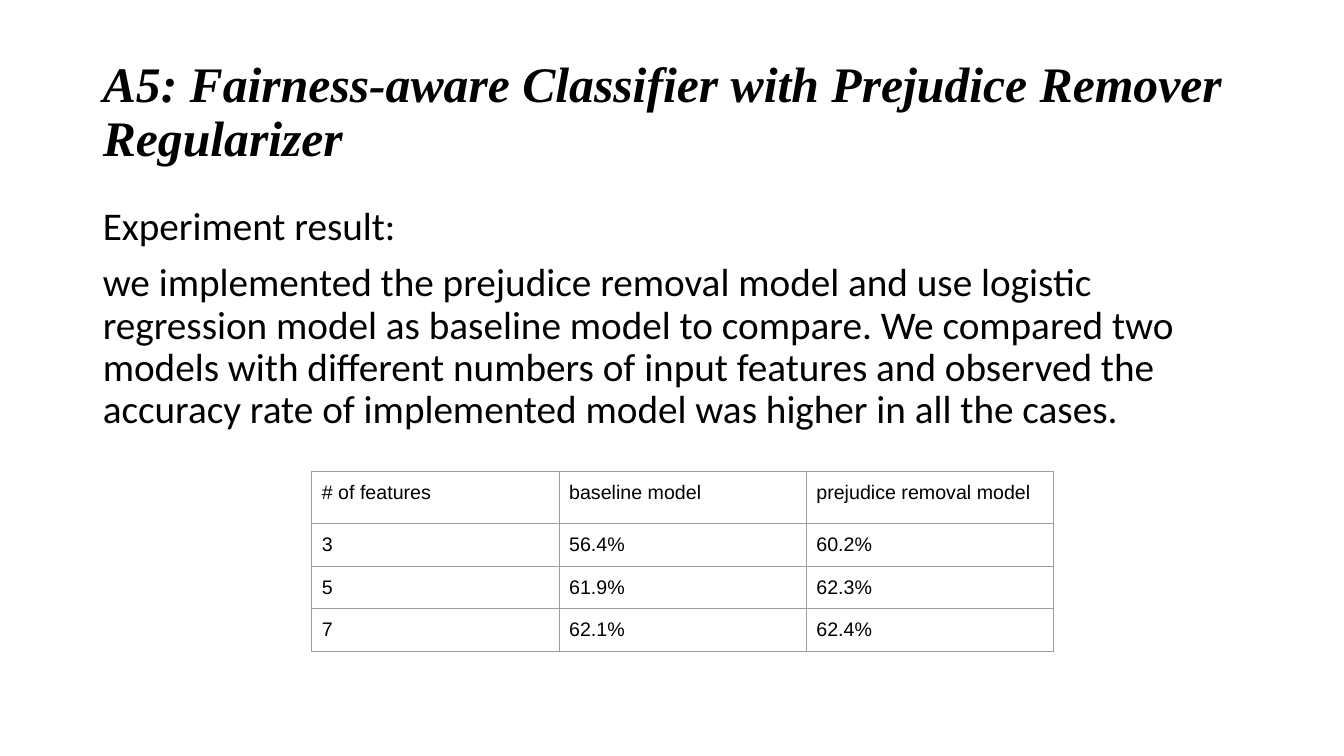
import dataclasses

import pptx
import pptx.dml.color
import pptx.enum.text
import pptx.oxml.ns
import pptx.util
from lxml import etree

BLACK = pptx.dml.color.RGBColor(0x00, 0x00, 0x00)
GRAY = pptx.dml.color.RGBColor(0x9E, 0x9E, 0x9E)
SLIDE_W = pptx.util.Inches(13.33)
SLIDE_H = pptx.util.Inches(7.5)
BORDER = pptx.util.Pt(0.75)

TITLE = "A5: Fairness-aware Classifier with Prejudice Remover Regularizer"
BODY = [
    "Experiment result:",
    "we implemented the prejudice removal model and use logistic regression model "
    "as baseline model to compare. We compared two models with different numbers of "
    "input features and observed the accuracy rate of implemented model was higher "
    "in all the cases.",
]


@dataclasses.dataclass(frozen=True)
class Box:
    left: float
    top: float
    width: float
    height: float

    def emu(self) -> tuple[int, int, int, int]:
        return (share(self.left, SLIDE_W), share(self.top, SLIDE_H),
                share(self.width, SLIDE_W), share(self.height, SLIDE_H))


@dataclasses.dataclass(frozen=True)
class Style:
    font: str
    size: float
    bold: bool = False
    italic: bool = False


@dataclasses.dataclass(frozen=True)
class Row:
    height: float
    cells: tuple[str, str, str]


TITLE_BOX = Box(6.9, 5.33, 86.25, 19.33)
BODY_BOX = Box(6.9, 26.67, 86.25, 63.47)
TITLE_STYLE = Style("Times New Roman", 35.5, bold=True, italic=True)
BODY_STYLE = Style("Calibri", 28)
CELL_STYLE = Style("Arial", 14)
ROWS = [
    Row(6.8, ("# of features", "baseline model", "prejudice removal model")),
    Row(5.73, ("3", "56.4%", "60.2%")),
    Row(5.6, ("5", "61.9%", "62.3%")),
    Row(5.6, ("7", "62.1%", "62.4%")),
]
TABLE_BOX = Box(23.2, 62.4, 55.2, sum(row.height for row in ROWS))


def share(percent: float, total: int) -> int:
    return round(total * percent / 100)


def format_runs(p, style: Style) -> None:
    for r in p.runs:
        r.font.name = style.font
        r.font.size = pptx.util.Pt(style.size)
        r.font.bold = style.bold
        r.font.italic = style.italic
        r.font.color.rgb = BLACK


def fill_placeholder(sp, box: Box, text: str, style: Style, anchor, before: float) -> None:
    sp.left, sp.top, sp.width, sp.height = box.emu()
    tf = sp.text_frame
    tf.text = text
    tf.word_wrap = True
    tf.auto_size = pptx.enum.text.MSO_AUTO_SIZE.NONE
    tf.vertical_anchor = anchor
    for p in tf.paragraphs:
        p.alignment = pptx.enum.text.PP_ALIGN.LEFT
        p.line_spacing = 0.9
        p.space_before = pptx.util.Pt(before)
        pPr = p._p.get_or_add_pPr()
        pPr.set("marL", "0")
        pPr.set("indent", "0")
        etree.SubElement(pPr, pptx.oxml.ns.qn("a:buNone"))
        format_runs(p, style)


def add_borders(cell) -> None:
    qn = pptx.oxml.ns.qn
    tcPr = cell._tc.get_or_add_tcPr()
    for side in ("lnL", "lnR", "lnT", "lnB"):
        ln = etree.SubElement(tcPr, qn(f"a:{side}"), w=str(BORDER))
        solid = etree.SubElement(ln, qn("a:solidFill"))
        etree.SubElement(solid, qn("a:srgbClr"), val=str(GRAY))


def add_results(s) -> None:
    columns = len(ROWS[0].cells)
    table = s.shapes.add_table(len(ROWS), columns, *TABLE_BOX.emu()).table
    table.first_row = False
    table.horz_banding = False
    for column in table.columns:
        column.width = share(TABLE_BOX.width / columns, SLIDE_W)
    for i, row in enumerate(ROWS):
        table.rows[i].height = share(row.height, SLIDE_H)
        for j, text in enumerate(row.cells):
            cell = table.cell(i, j)
            cell.text_frame.text = text
            cell.margin_left = cell.margin_right = pptx.util.Inches(0.1)
            cell.margin_top = cell.margin_bottom = pptx.util.Inches(0.1)
            add_borders(cell)
            cell.fill.background()
            format_runs(cell.text_frame.paragraphs[0], CELL_STYLE)


def main() -> None:
    prs = pptx.Presentation()
    prs.slide_width, prs.slide_height = SLIDE_W, SLIDE_H
    s = prs.slides.add_slide(prs.slide_layouts[1])
    anchors = pptx.enum.text.MSO_ANCHOR
    fill_placeholder(s.shapes.title, TITLE_BOX, TITLE, TITLE_STYLE, anchors.MIDDLE, 0)
    fill_placeholder(s.placeholders[1], BODY_BOX, "\n".join(BODY), BODY_STYLE, anchors.TOP, 10)
    add_results(s)
    prs.save("out.pptx")


if __name__ == "__main__":
    main()
